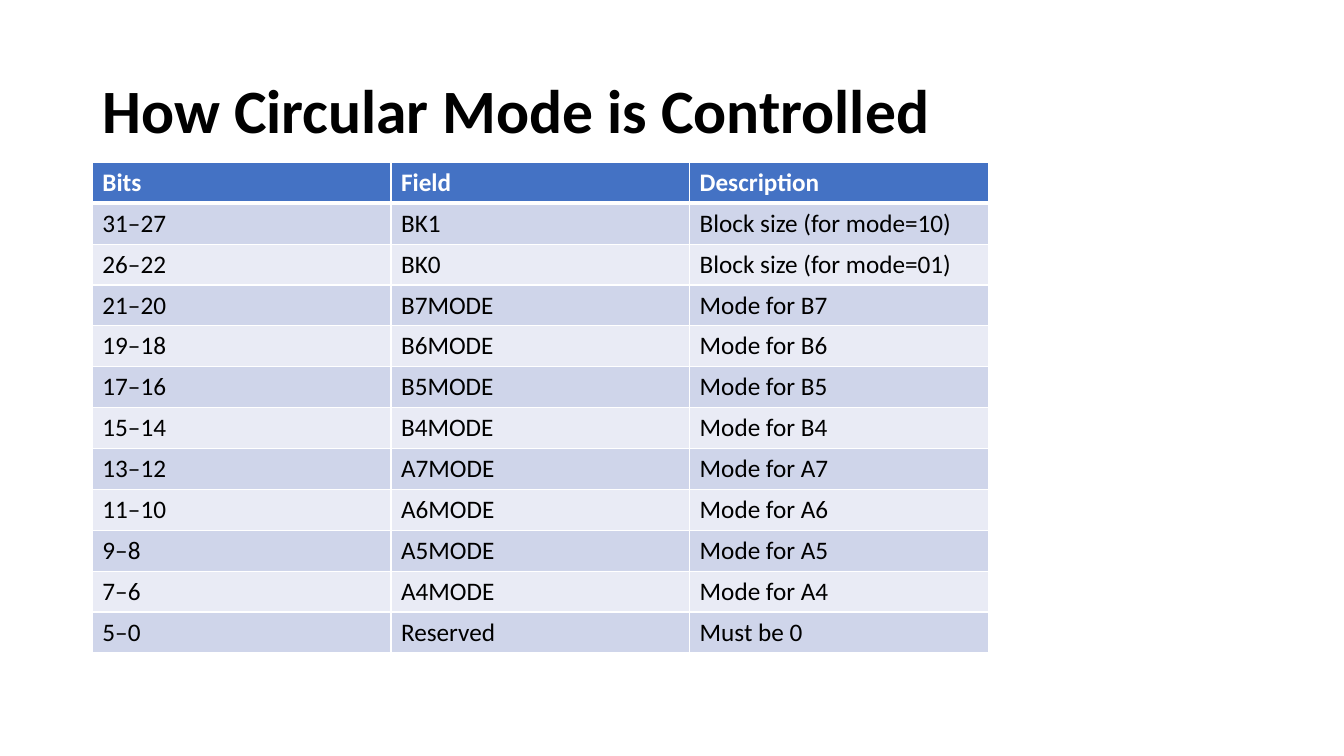
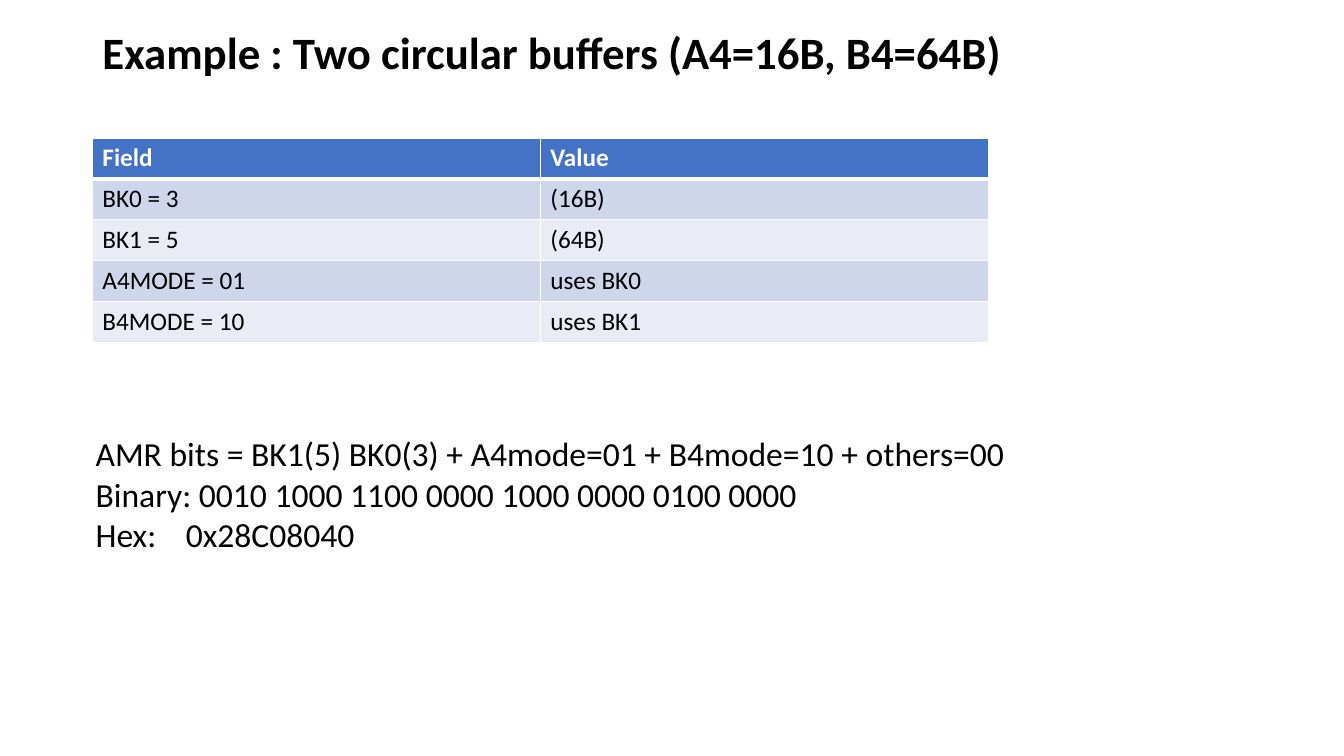
from dataclasses import dataclass

from lxml.etree import SubElement
from pptx import Presentation
from pptx.dml.color import RGBColor
from pptx.enum.text import MSO_ANCHOR as Anchor, MSO_AUTO_SIZE as AutoSize, PP_ALIGN as Align
from pptx.oxml.ns import qn
from pptx.slide import Slide
from pptx.table import _Cell as Cell
from pptx.text.text import _Paragraph as Paragraph
from pptx.util import Pt

BLACK = RGBColor(0x00, 0x00, 0x00)
WHITE = RGBColor(0xFF, 0xFF, 0xFF)
HEADER_BLUE = RGBColor(0x44, 0x72, 0xC4)
BAND_DARK = RGBColor(0xCF, 0xD5, 0xEA)
BAND_LIGHT = RGBColor(0xE9, 0xEB, 0xF5)

FONT = "Calibri"
LEFT = 66
TABLE_WIDTH = 640
ROW_HEIGHT = 29.2
TITLE_ONLY = 5


@dataclass(frozen=True)
class TitleStyle:
    top: float
    width: float
    height: float
    size: float
    line_spacing: float
    anchor: Anchor


@dataclass(frozen=True)
class TableData:
    top: float
    rows: list[tuple[str, ...]]


LARGE_TITLE = TitleStyle(28.8, 828, 104.4, 44, 0.9, Anchor.MIDDLE)
SMALL_TITLE = TitleStyle(13.7, 664, 46, 32, 1.0, Anchor.TOP)

MODE_ROWS = [
    (bits, f"{register}MODE", f"Mode for {register}")
    for bits, register in zip(
        ("21–20", "19–18", "17–16", "15–14", "13–12", "11–10", "9–8", "7–6"),
        ("B7", "B6", "B5", "B4", "A7", "A6", "A5", "A4"),
    )
]
CONTROL_FIELDS = TableData(116, [
    ("Bits", "Field", "Description"),
    ("31–27", "BK1", "Block size (for mode=10)"),
    ("26–22", "BK0", "Block size (for mode=01)"),
    *MODE_ROWS,
    ("5–0", "Reserved", "Must be 0"),
])
BUFFER_SETTINGS = TableData(98.5, [
    ("Field", "Value"),
    ("BK0 = 3", "(16B)"),
    ("BK1 = 5", "(64B)"),
    ("A4MODE = 01", "uses BK0"),
    ("B4MODE = 10", "uses BK1"),
])
RESULT_LINES = [
    "AMR bits = BK1(5) BK0(3) + A4mode=01 + B4mode=10 + others=00",
    "Binary: 0010 1000 1100 0000 1000 0000 0100 0000",
    "Hex:\t0x28C08040",
]


def set_font(para: Paragraph, size: float, color: RGBColor, bold: bool = False) -> None:
    para.font.name = FONT
    para.font.size = Pt(size)
    para.font.bold = bold
    para.font.color.rgb = color


def set_title(slide: Slide, text: str, style: TitleStyle) -> None:
    title = slide.shapes.title
    title.left, title.top = Pt(LEFT), Pt(style.top)
    title.width, title.height = Pt(style.width), Pt(style.height)
    frame = title.text_frame
    frame.text = text
    frame.word_wrap = True
    frame.auto_size = AutoSize.NONE
    frame.vertical_anchor = style.anchor
    para = frame.paragraphs[0]
    para.alignment = Align.LEFT
    para.line_spacing = style.line_spacing
    set_font(para, style.size, BLACK, bold=True)


def set_borders(cell: Cell, top: float, bottom: float) -> None:
    """Draw white cell borders; must run before the cell is filled."""
    properties = cell._tc.get_or_add_tcPr()
    for side, width in (("L", 1), ("R", 1), ("T", top), ("B", bottom)):
        line = SubElement(properties, qn(f"a:ln{side}"), w=str(Pt(width)))
        fill = SubElement(line, qn("a:solidFill"))
        SubElement(fill, qn("a:srgbClr"), val=str(WHITE))


def add_banded_table(slide: Slide, data: TableData) -> None:
    row_count, column_count = len(data.rows), len(data.rows[0])
    table = slide.shapes.add_table(
        row_count, column_count, Pt(LEFT), Pt(data.top),
        Pt(TABLE_WIDTH), Pt(ROW_HEIGHT * row_count),
    ).table
    for column in table.columns:
        column.width = Pt(TABLE_WIDTH / column_count)
    for row_index, texts in enumerate(data.rows):
        table.rows[row_index].height = Pt(ROW_HEIGHT)
        is_header = row_index == 0
        band = BAND_DARK if row_index % 2 else BAND_LIGHT
        for column_index, text in enumerate(texts):
            cell = table.cell(row_index, column_index)
            set_borders(cell, top=3 if row_index == 1 else 1, bottom=3 if is_header else 1)
            cell.fill.solid()
            cell.fill.fore_color.rgb = HEADER_BLUE if is_header else band
            cell.text = text
            set_font(cell.text_frame.paragraphs[0], 18, WHITE if is_header else BLACK, is_header)


def add_tab_stop(para: Paragraph, position: float) -> None:
    tabs = SubElement(para._p.get_or_add_pPr(), qn("a:tabLst"))
    SubElement(tabs, qn("a:tab"), pos=str(Pt(position)), algn="l")


def add_result(slide: Slide, lines: list[str]) -> None:
    box = slide.shapes.add_textbox(Pt(61.2), Pt(306), Pt(697), Pt(94.5))
    frame = box.text_frame
    frame.word_wrap = True
    frame.text = "\n".join(lines)
    for para in frame.paragraphs:
        if "\t" in para.text:
            add_tab_stop(para, 64.5)
        set_font(para, 24, BLACK)


def main() -> None:
    deck = Presentation()
    deck.slide_width, deck.slide_height = Pt(960), Pt(540)
    layout = deck.slide_layouts[TITLE_ONLY]

    control = deck.slides.add_slide(layout)
    set_title(control, "How Circular Mode is Controlled", LARGE_TITLE)
    add_banded_table(control, CONTROL_FIELDS)

    example = deck.slides.add_slide(layout)
    set_title(example, "Example : Two circular buffers (A4=16B, B4=64B)", SMALL_TITLE)
    add_banded_table(example, BUFFER_SETTINGS)
    add_result(example, RESULT_LINES)

    deck.save("out.pptx")


if __name__ == "__main__":
    main()
